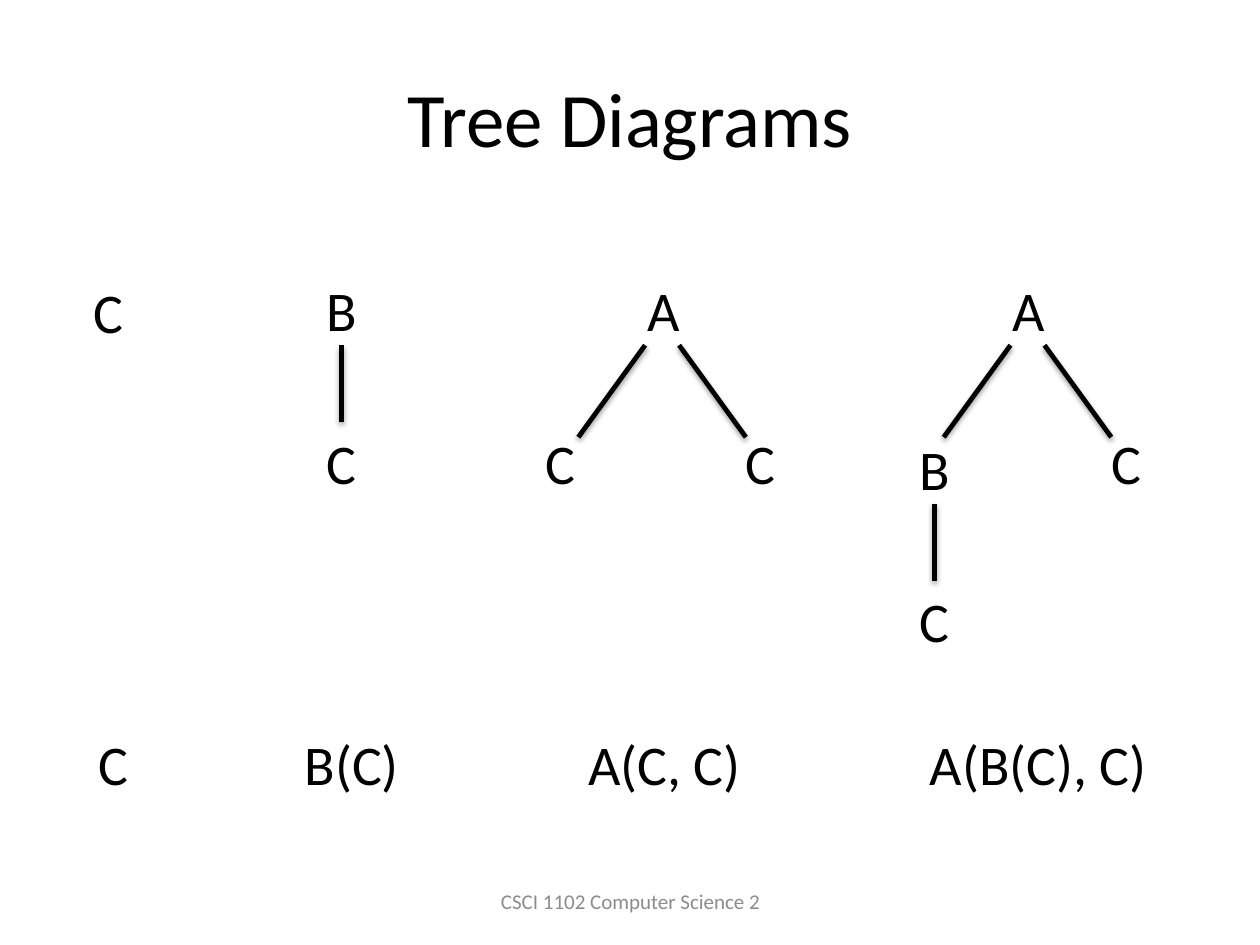
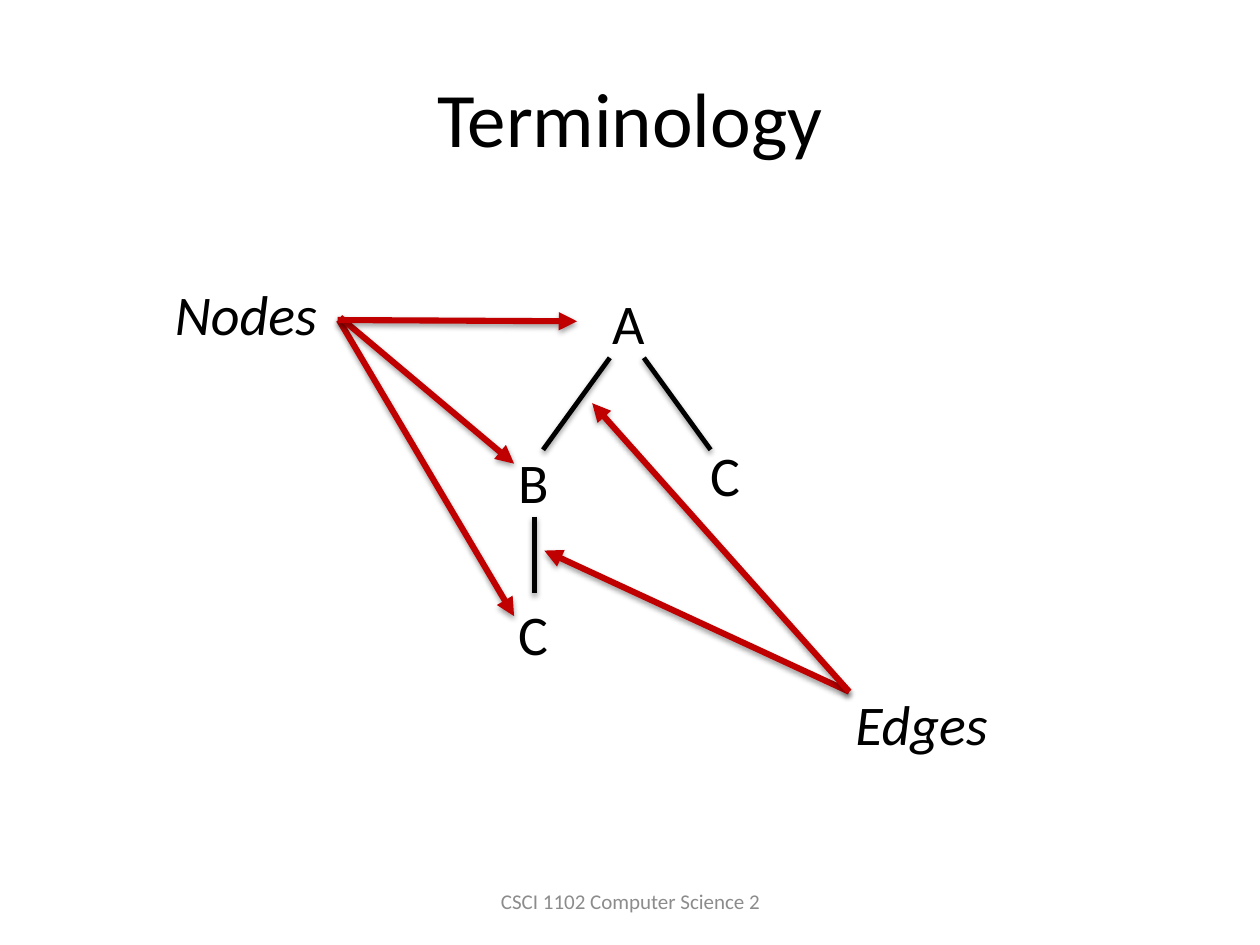
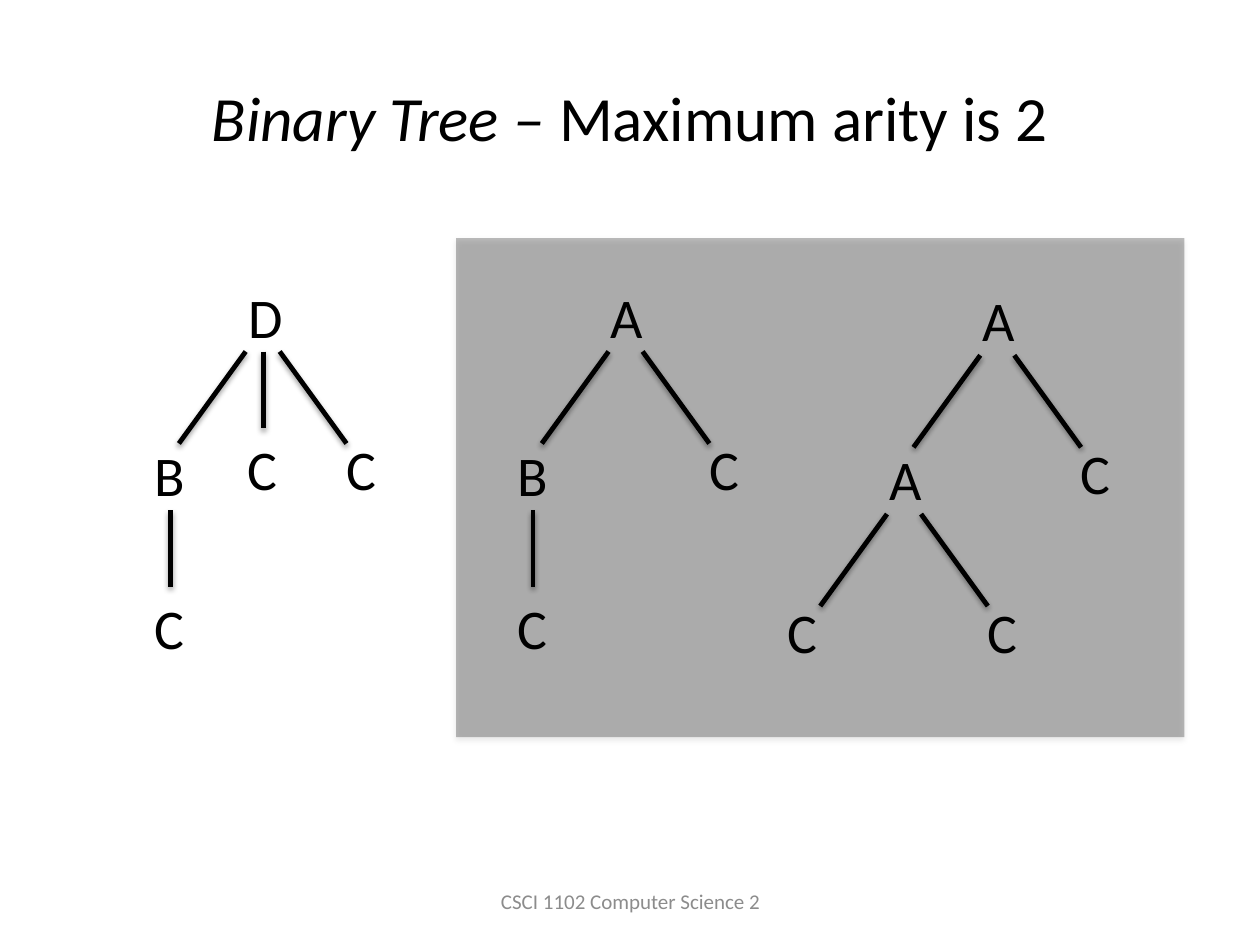
from lxml import etree
from pptx import Presentation
from pptx import util as u
from pptx.dml.color import RGBColor
from pptx.enum import shapes, text
from pptx.oxml.ns import qn

PX = 9144  # 100 px to the inch
FONT = "Calibri"
BLACK, RED, GREY = "000000", "C00000", "8C8C8C"
FOOTER = "CSCI 1102 Computer Science 2"

# A tree is (letter, {direction: subtree}).
LEAF = ("C", {})
B_TREE = ("B", {"down": LEAF})
A_TREE = ("A", {"left": LEAF, "right": LEAF})
MIXED_TREE = ("A", {"left": B_TREE, "right": LEAF})
NESTED_TREE = ("A", {"left": A_TREE, "right": LEAF})
TERNARY_TREE = ("D", {"left": B_TREE, "down": LEAF, "right": LEAF})

# Title runs are (text, italic); trees are (tree, left, top);
# labels are (text, left, top, width, italic); arrows are (x1, y1, x2, y2).
SLIDES = [
    {
        "title": [("Tree Diagrams", False)],
        "title_size": 44,
        "trees": [(LEAF, 64, 215), (B_TREE, 249, 214),
                  (A_TREE, 504, 214), (MIXED_TREE, 794, 214)],
        "labels": [("C", 68, 574, 44, False), ("B(C)", 232, 574, 97, False),
                   ("A(C, C)", 457, 574, 145, False),
                   ("A(B(C), C)", 728, 574, 198, False)],
    },
    {
        "title": [("Terminology", False)],
        "title_size": 44,
        "trees": [(MIXED_TREE, 476, 224)],
        "labels": [("Nodes", 129, 217, 136, True), ("Edges", 669, 542, 126, True)],
        "arrows": [(269, 254, 408, 489), (270, 252, 408, 368), (268, 254, 458, 255),
                   (674, 549, 432, 437), (674, 549, 470, 320)],
    },
    {
        "title": [("Binary Tree – ", True), ("Maximum arity is 2", False)],
        "title_size": 36,
        "trees": [(MIXED_TREE, 475, 219), (TERNARY_TREE, 187, 219),
                  (NESTED_TREE, 770, 222)],
        "highlight": (362, 189, 578, 396),
    },
]

LETTER_WIDTHS = {"A": 46, "B": 45, "C": 44, "D": 48}
LINE_HEIGHT = 64
# Edge ends, measured from the top left corner of the parent's letter.
EDGES = {"left": (8, 60, -45, 133), "down": (22, 60, 22, 122), "right": (35, 60, 88, 133)}
LEAF_OFFSETS = {"left": (-81, 121), "down": (0, 121), "right": (78, 121)}
INNER_LEFT_OFFSET = (-74, 126)


def px(*lengths):
    return [u.Emu(length * PX) for length in lengths]


def color(hex_value):
    return RGBColor.from_string(hex_value)


def style_run(run, size, hex_value=BLACK, italic=False):
    run.font.name = FONT
    run.font.size = u.Pt(size)
    run.font.color.rgb = color(hex_value)
    run.font.italic = italic


def add_shadow(shape, distance, opacity):
    """Give the shape a soft black shadow straight below it."""
    properties = shape._element.spPr
    effects = properties.find(qn("a:effectLst"))
    if effects is None:
        effects = etree.SubElement(properties, qn("a:effectLst"))
    shadow = etree.SubElement(effects, qn("a:outerShdw"), blurRad="40000",
                              dist=str(distance), dir="5400000", rotWithShape="0")
    shade = etree.SubElement(shadow, qn("a:srgbClr"), val=BLACK)
    etree.SubElement(shade, qn("a:alpha"), val=str(opacity * 1000))


def add_line(container, ends, hex_value=BLACK, width=2.75, arrow=False):
    line = container.add_connector(shapes.MSO_CONNECTOR.STRAIGHT, *px(*ends))
    line.line.color.rgb = color(hex_value)
    line.line.width = u.Pt(width)
    if arrow:
        outline = line._element.spPr.find(qn("a:ln"))
        etree.SubElement(outline, qn("a:tailEnd"), type="triangle")
    add_shadow(line, 20000, 38)
    return line


def add_label(container, label, left, top, width, italic=False):
    box = container.add_textbox(*px(left, top, width, LINE_HEIGHT))
    frame = box.text_frame
    frame.word_wrap = False
    frame.auto_size = text.MSO_AUTO_SIZE.SHAPE_TO_FIT_TEXT
    frame.text = label
    style_run(frame.paragraphs[0].runs[0], 32, italic=italic)
    return box


def add_tree(container, tree, left, top):
    """Draw the tree with its root letter at left, top; return the root's box."""
    letter, children = tree
    root = add_label(container, letter, left, top, LETTER_WIDTHS[letter])
    for direction, child in children.items():
        x1, y1, x2, y2 = EDGES[direction]
        edge = add_line(container, (left + x1, top + y1, left + x2, top + y2))
        inner_left = direction == "left" and child[1]
        dx, dy = INNER_LEFT_OFFSET if inner_left else LEAF_OFFSETS[direction]
        child_root = add_tree(container, child, left + dx, top + dy)
        if direction == "down":
            edge.end_connect(child_root, 0)
    return root


def add_title(slide, runs, size):
    title = slide.shapes.title
    title.left, title.top, title.width, title.height = px(50, 30, 900, 125)
    title.text_frame.vertical_anchor = text.MSO_ANCHOR.MIDDLE
    paragraph = title.text_frame.paragraphs[0]
    paragraph.alignment = text.PP_ALIGN.CENTER
    for words, italic in runs:
        run = paragraph.add_run()
        run.text = words
        style_run(run, size, italic=italic)


def add_footer(slide):
    frame = slide.shapes.add_textbox(*px(342, 695, 317, 40)).text_frame
    frame.word_wrap = True
    frame.vertical_anchor = text.MSO_ANCHOR.MIDDLE
    frame.text = FOOTER
    paragraph = frame.paragraphs[0]
    paragraph.alignment = text.PP_ALIGN.CENTER
    style_run(paragraph.runs[0], 12, GREY)


def add_highlight(slide, bounds):
    """Lay a see-through dark panel over the trees."""
    panel = slide.shapes.add_shape(shapes.MSO_SHAPE.RECTANGLE, *px(*bounds))
    panel.fill.solid()
    panel.fill.fore_color.rgb = color(BLACK)
    shade = panel._element.spPr.find(qn("a:solidFill"))[0]
    etree.SubElement(shade, qn("a:alpha"), val="26000")
    panel.line.fill.background()
    panel.shadow.inherit = False
    add_shadow(panel, 23000, 35)


def main():
    presentation = Presentation()
    presentation.slide_width, presentation.slide_height = px(1000, 750)
    title_only = presentation.slide_layouts[5]
    for content in SLIDES:
        slide = presentation.slides.add_slide(title_only)
        add_title(slide, content["title"], content["title_size"])
        add_footer(slide)
        for tree, left, top in content["trees"]:
            is_single = not tree[1]
            container = slide.shapes if is_single else slide.shapes.add_group_shape().shapes
            add_tree(container, tree, left, top)
        for label in content.get("labels", []):
            add_label(slide.shapes, *label)
        for ends in content.get("arrows", []):
            add_line(slide.shapes, ends, RED, 3.5, arrow=True)
        if "highlight" in content:
            add_highlight(slide, content["highlight"])
    presentation.save("out.pptx")


if __name__ == "__main__":
    main()
